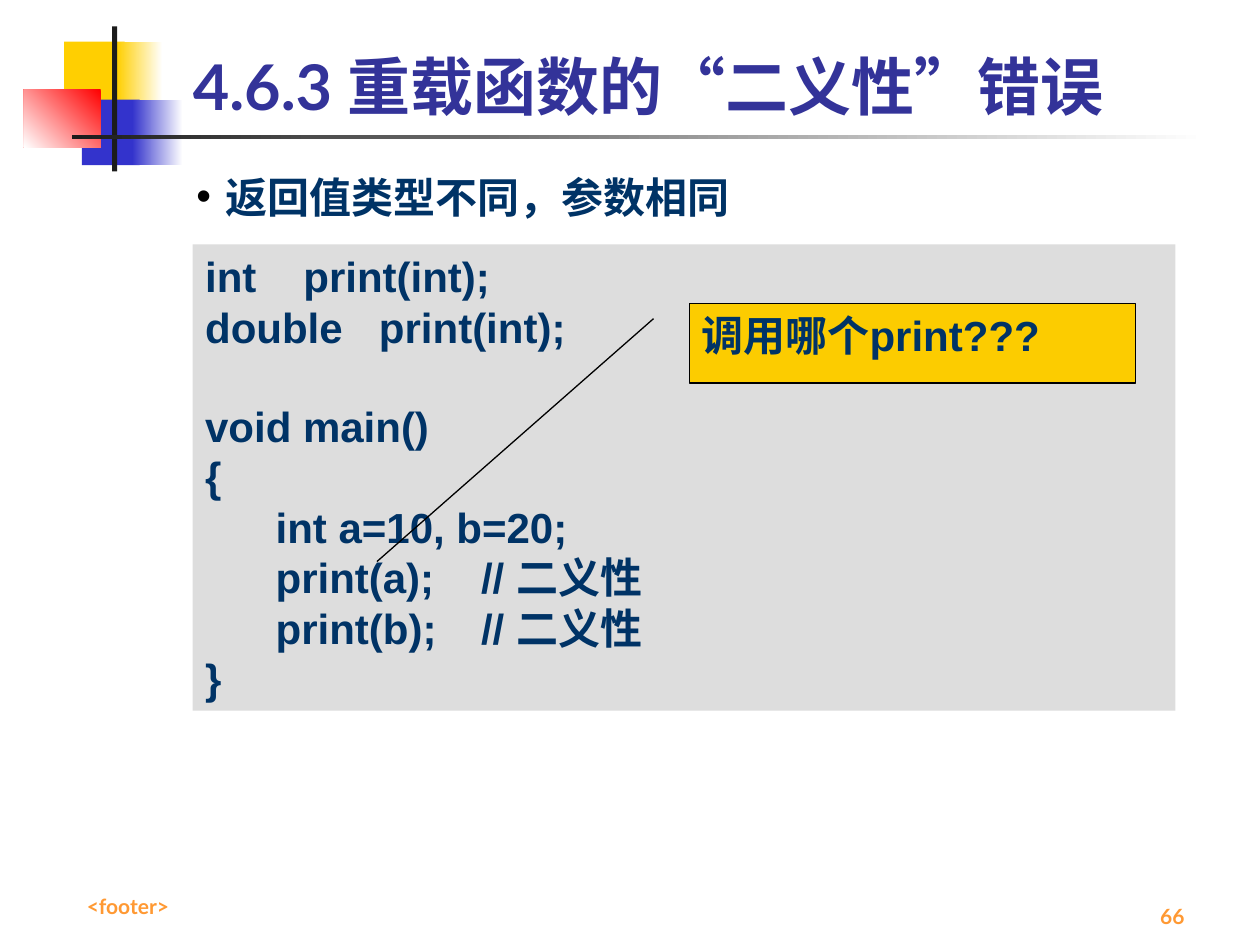
from dataclasses import dataclass
from typing import Any, Optional, Sequence

import pptx
import pptx.dml.color
import pptx.enum.shapes
import pptx.enum.text
import pptx.oxml.ns
import pptx.util
from lxml import etree

Align = pptx.enum.text.PP_ALIGN
Anchor = pptx.enum.text.MSO_ANCHOR
Preset = pptx.enum.shapes.MSO_SHAPE

COLS, ROWS = 100, 75
WIDTH, HEIGHT = pptx.util.Inches(10), pptx.util.Inches(7.5)


@dataclass(frozen=True)
class Theme:
    yellow: str = "FFCF01"
    blue: str = "3333CC"
    red: str = "FF0000"
    black: str = "000000"
    dark: str = "1C1C1C"
    white: str = "FFFFFF"
    title: str = "333399"
    body: str = "003366"
    footer: str = "FF9933"
    panel: str = "DDDDDD"
    callout: str = "FCCC00"
    title_pt: int = 36
    body_pt: int = 24
    footer_pt: int = 12
    title_font: str = "Lato"
    body_font: str = "Arial"


THEME = Theme()


@dataclass(frozen=True)
class Box:
    """A place on the slide grid of 100 columns by 75 rows."""
    col: float
    row: float
    cols: float
    rows: float

    def lengths(self) -> tuple[int, int, int, int]:
        return (round(self.col * WIDTH / COLS), round(self.row * HEIGHT / ROWS),
                round(self.cols * WIDTH / COLS), round(self.rows * HEIGHT / ROWS))


@dataclass(frozen=True)
class Block:
    """A decorative rectangle; with an end colour it is a gradient."""
    box: Box
    start: str
    end: Optional[str] = None
    angle: float = 180


@dataclass(frozen=True)
class Line:
    """A line of code with its tab stops in columns."""
    text: str
    tabs: Sequence[float] = ()
    before: float = 0


BLOCKS = [
    Block(Box(5.1, 3.3, 4.8, 5.2), THEME.yellow),
    Block(Box(9.3, 3.3, 3.6, 5.2), THEME.white, THEME.yellow),
    Block(Box(6.5, 7.9, 4.6, 5.2), THEME.blue),
    Block(Box(10.5, 7.9, 4, 5.2), THEME.white, THEME.blue),
    Block(Box(1.9, 7.1, 6.1, 4.6), THEME.red, THEME.white, 225),
    Block(Box(8.9, 2.1, 0.4, 11.5), THEME.dark),
    Block(Box(5.7, 10.7, 90, 0.35), THEME.white, THEME.dark),
]

INDENT, COMMENT = 5.6, 21.9
CODE = [
    Line("int\tprint(int);", [7.8]),
    Line("double\tprint(int);", [13.8]),
    Line("void main()", before=28),
    Line("{"),
    Line("\tint a=10, b=20;", [INDENT]),
    Line("\tprint(a);\t// 二义性", [INDENT, COMMENT]),
    Line("\tprint(b);\t// 二义性", [INDENT, COMMENT]),
    Line("}"),
]


def rgb(value: str) -> pptx.dml.color.RGBColor:
    return pptx.dml.color.RGBColor.from_string(value)


def add_box(slide: Any, box: Box, fill: str, preset: Any = Preset.RECTANGLE) -> Any:
    sp = slide.shapes.add_shape(preset, *box.lengths())
    sp.shadow.inherit = False
    sp.line.fill.background()
    sp.fill.solid()
    sp.fill.fore_color.rgb = rgb(fill)
    return sp


def add_block(slide: Any, block: Block) -> None:
    sp = add_box(slide, block.box, block.start)
    if block.end:
        sp.fill.gradient()
        sp.fill.gradient_angle = block.angle
        for stop, color, position in zip(sp.fill.gradient_stops, (block.start, block.end), (0, 1)):
            stop.color.rgb = rgb(color)
            stop.position = position


def write(sp: Any, lines: Sequence[Line], *, size: int = THEME.body_pt,
          font: str = THEME.body_font, color: str = THEME.body,
          align: Any = Align.LEFT, anchor: Any = Anchor.TOP) -> None:
    tf = sp.text_frame
    tf.word_wrap = True
    tf.auto_size = pptx.enum.text.MSO_AUTO_SIZE.NONE
    tf.vertical_anchor = anchor
    for i, line in enumerate(lines):
        p = tf.add_paragraph() if i else tf.paragraphs[0]
        p.alignment = align
        p.space_before = pptx.util.Pt(line.before)
        r = p.add_run()
        r.text = line.text
        r.font.size = pptx.util.Pt(size)
        r.font.name = font
        r.font.bold = True
        r.font.color.rgb = rgb(color)
        if line.tabs:
            add_tabs(p, line.tabs)


def add_child(parent: Any, tag: str, **attributes: str) -> Any:
    return etree.SubElement(parent, pptx.oxml.ns.qn(tag), attributes)


def add_tabs(p: Any, stops: Sequence[float]) -> None:
    tab_list = add_child(p._p.get_or_add_pPr(), "a:tabLst")
    for stop in stops:
        add_child(tab_list, "a:tab", pos=str(round(stop * WIDTH / COLS)), algn="l")


def add_bullet(p: Any, hang: float) -> None:
    ppr = p._p.get_or_add_pPr()
    margin = round(hang * WIDTH / COLS)
    ppr.set("marL", str(margin))
    ppr.set("indent", str(-margin))
    add_child(add_child(ppr, "a:buClr"), "a:srgbClr", val=THEME.black)
    add_child(ppr, "a:buFont", typeface=THEME.body_font)
    add_child(ppr, "a:buChar", char="•")


def add_text(slide: Any, box: Box, text: str, **style: Any) -> Any:
    sp = slide.shapes.add_textbox(*box.lengths())
    write(sp, [Line(text)], **style)
    return sp


def add_callout(slide: Any, box: Box, text: str) -> None:
    sp = add_box(slide, box, THEME.callout, Preset.LINE_CALLOUT_1)
    sp.line.color.rgb = rgb(THEME.black)
    sp.line.width = pptx.util.Pt(0.75)
    for i, value in enumerate((0.19, -0.08, 3.25, -0.7)):
        sp.adjustments[i] = value
    write(sp, [Line(text)])


def main() -> None:
    prs = pptx.Presentation()
    prs.slide_width, prs.slide_height = WIDTH, HEIGHT
    slide = prs.slides.add_slide(prs.slide_layouts.get_by_name("Title Only"))

    for block in BLOCKS:
        add_block(slide, block)

    title = slide.shapes.title
    title.left, title.top, title.width, title.height = Box(14.3, 1.1, 83, 9.2).lengths()
    write(title, [Line("4.6.3 重载函数的“二义性”错误")], size=THEME.title_pt,
          font=THEME.title_font, color=THEME.title, anchor=Anchor.BOTTOM)

    small = dict(size=THEME.footer_pt, font=THEME.title_font, color=THEME.footer,
                 anchor=Anchor.BOTTOM)
    add_text(slide, Box(5.9, 69, 44.9, 4.4), "<footer>", **small)
    add_text(slide, Box(74.2, 69.2, 20.8, 5), "66", align=Align.RIGHT, **small)

    write(add_box(slide, Box(15.3, 19.4, 78, 37), THEME.panel), CODE)
    point = add_text(slide, Box(14.6, 13.1, 55.1, 5), "返回值类型不同，参数相同")
    add_bullet(point.text_frame.paragraphs[0], 2.3)
    add_callout(slide, Box(54.7, 24.1, 35.4, 6.3), "调用哪个print???")

    prs.save("out.pptx")


if __name__ == "__main__":
    main()
